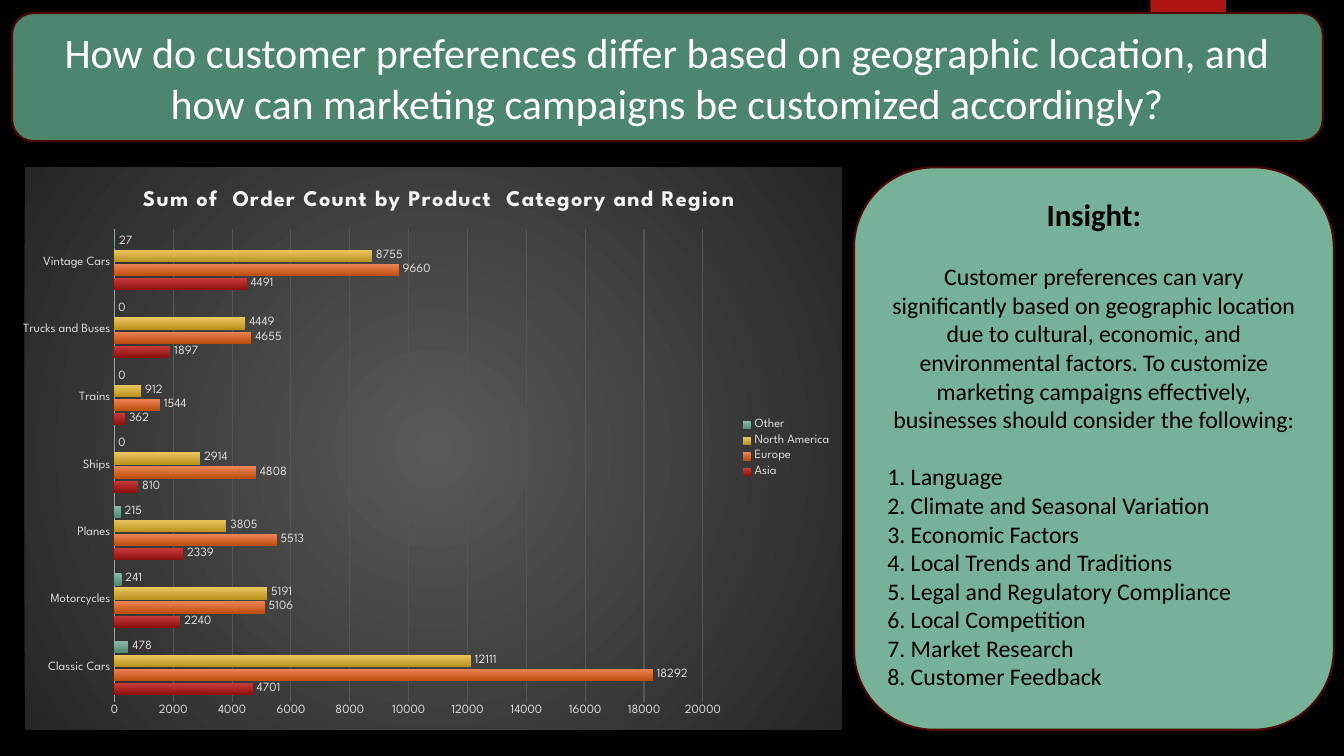
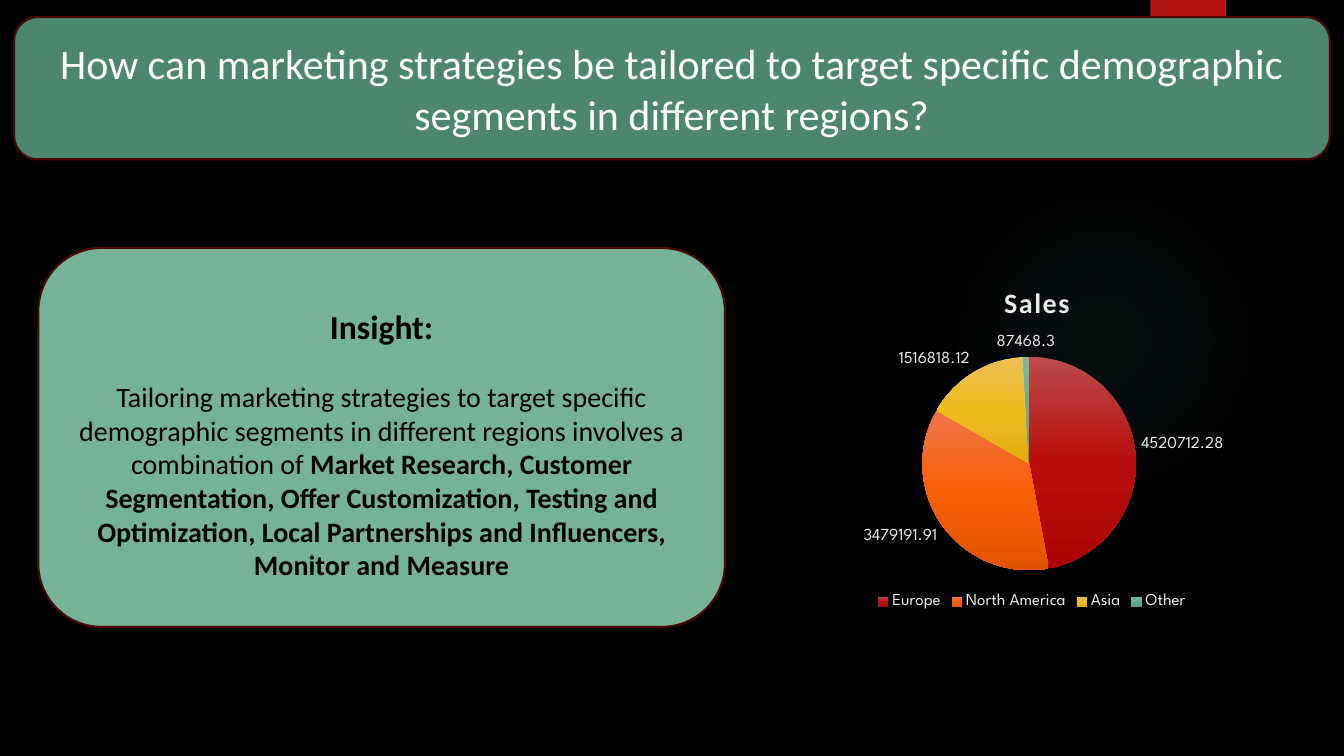
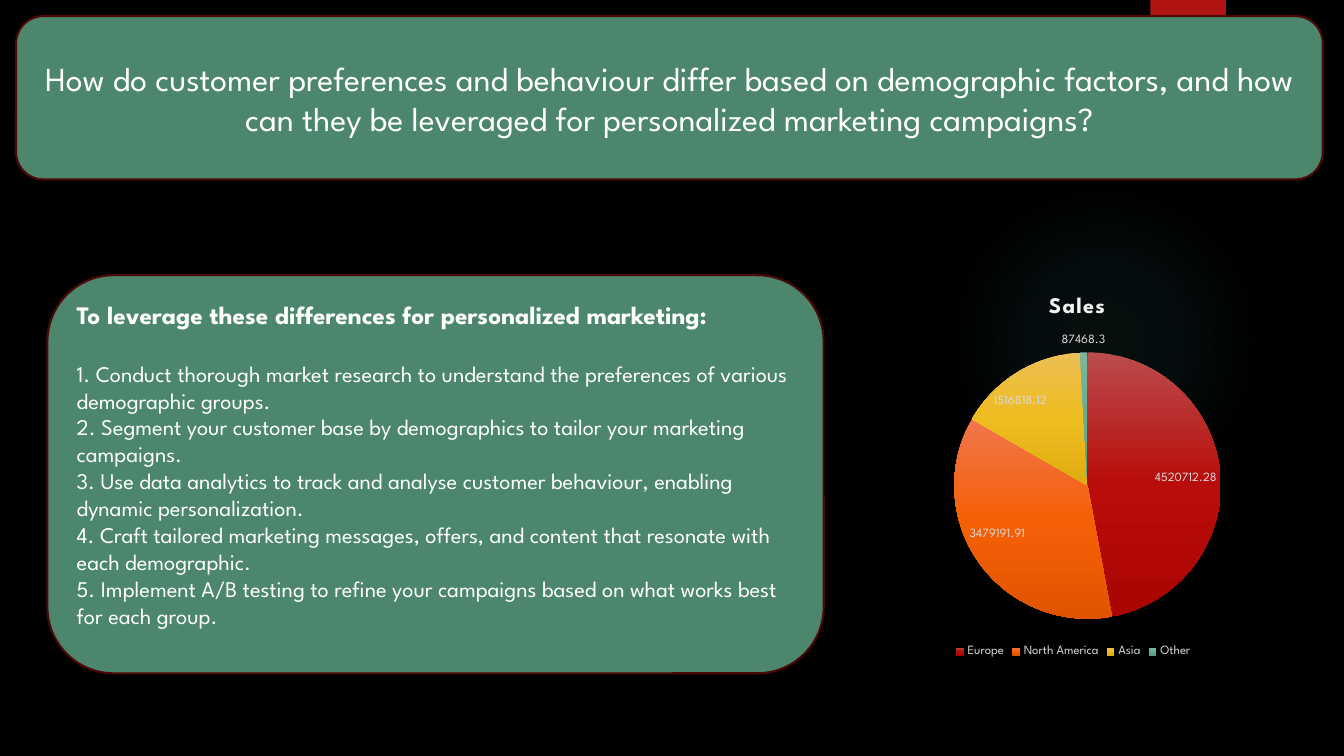
"""Build three dark slides on customer preferences, each with a chart and a text panel."""
from lxml.etree import SubElement
from pptx import Presentation
from pptx.chart.data import CategoryChartData
from pptx.dml.color import RGBColor
from pptx.enum.chart import XL_CHART_TYPE, XL_LABEL_POSITION, XL_LEGEND_POSITION, XL_TICK_MARK
from pptx.enum.shapes import MSO_SHAPE
from pptx.enum.text import MSO_ANCHOR, PP_ALIGN
from pptx.oxml import parse_xml
from pptx.oxml.ns import nsdecls, qn
from pptx.oxml.xmlchemy import OxmlElement
from pptx.util import Inches, Pt

HUES = {
    "black": "000000", "white": "FFFFFF", "pale": "F2F2F2", "soft": "EBEBEB",
    "gray": "D9D9D9", "axis": "A0A0A0", "grid": "555555", "red": "B01513",
    "edge": "4D0908", "green": "4B866D", "mint": "76B298", "glow": "50B9C1",
}
RGB = {name: RGBColor.from_string(code) for name, code in HUES.items()}
SANS, SPARTAN = "Calibri", "League Spartan"
LEFT, MID = PP_ALIGN.LEFT, PP_ALIGN.CENTER
OUT, BEST = XL_LABEL_POSITION.OUTSIDE_END, XL_LABEL_POSITION.BEST_FIT


def box(slide, kind, at, fill=None, edge=None):
    shape = slide.shapes.add_shape(kind, *map(Inches, at))
    shape.shadow.inherit = False
    if fill:
        shape.fill.solid()
        shape.fill.fore_color.rgb = RGB[fill]
    if edge:
        shape.line.color.rgb = RGB[edge]
        shape.line.width = Pt(1.5)
    else:
        shape.line.fill.background()
    return shape


def fade(stops, round=False):
    fill = OxmlElement("a:gradFill")
    items = SubElement(fill, qn("a:gsLst"))
    for place, code, alpha in stops:
        stop = SubElement(items, qn("a:gs"), pos=str(place * 1000))
        color = SubElement(stop, qn("a:srgbClr"), val=code)
        SubElement(color, qn("a:alpha"), val=str(alpha * 1000))
    if round:
        path = SubElement(fill, qn("a:path"), path="circle")
        SubElement(path, qn("a:fillToRect"), l="50000", t="50000", r="50000", b="50000")
    else:
        SubElement(fill, qn("a:lin"), ang="5400000", scaled="0")
    return fill


REGIONS = ["Europe", "North America", "Asia", "Other"]
SALES = [4520712.28, 3479191.91, 1516818.12, 87468.3]
SLICES = [
    ("BB4C4C", "B80D0B", "AA0503"), ("F1764C", "F56007", "E05400"),
    ("EBBF53", "EFBC20", "DFAC11"), ("7CB59C", "67AF91", "589F81"),
]
CARS = ["Classic Cars", "Motorcycles", "Planes", "Ships", "Trains", "Trucks and Buses", "Vintage Cars"]
ORDERS = [
    ("Asia", [4701, 2240, 2339, 810, 362, 1897, 4491], ("C93B3A", "8D110F")),
    ("Europe", [18292, 5106, 5513, 4808, 1544, 4655, 9660], ("EE8455", "BC4F0E")),
    ("North America", [12111, 5191, 3805, 2914, 912, 4449, 8755], ("EBC65F", "BB941F")),
    ("Other", [478, 241, 215, 0, 0, 0, 27], ("89BDA7", "538C74")),
]
FACTORS = [
    "Language", "Climate and Seasonal Variation", "Economic Factors",
    "Local Trends and Traditions", "Legal and Regulatory Compliance",
    "Local Competition", "Market Research", "Customer Feedback",
]
STEPS = [
    "Conduct thorough market research to understand the preferences of various demographic groups.",
    "Segment your customer base by demographics to tailor your marketing campaigns.",
    "Use data analytics to track and analyse customer behaviour, enabling dynamic personalization.",
    "Craft tailored marketing messages, offers, and content that resonate with each demographic.",
    "Implement A/B testing to refine your campaigns based on what works best for each group.",
]

PAGES = [
    {
        "title": "How do customer preferences differ based on geographic location, and how can marketing campaigns be customized accordingly?",
        "band": (0.12, 0.13, 13, 1.27), "size": 30, "font": SANS,
        "panel": (8.47, 1.66, 4.76, 5.58), "fill": "mint", "ink": "black", "top": 0.05,
        "text": [
            (0, 22, MID, [("Insight:", True)]),
            (21, 17, MID, [("Customer preferences can vary significantly based on geographic location due to cultural, economic, and environmental factors. To customize marketing campaigns effectively, businesses should consider the following:", False)]),
        ] + [(0 if i > 1 else 20.5, 17, LEFT, [(f"{i}. {item}", False)]) for i, item in enumerate(FACTORS, 1)],
        "chart": (0.23, 1.66, 8.12, 5.58), "bars": True, "cats": CARS, "rows": ORDERS,
        "head": ("Sum of  Order Count by Product  Category and Region", 16, SPARTAN, "pale"),
        "label": (9, "gray", OUT), "spot": (0.14, 0.03), "plot": (0.11, 0.11, 0.72, 0.84),
    },
    {
        "title": "How can marketing strategies be tailored to target specific demographic segments in different regions?",
        "band": (0.14, 0.17, 13.05, 1.41), "size": 30, "font": SANS,
        "panel": (0.38, 2.46, 6.81, 3.76), "fill": "mint", "ink": "black", "top": 0.39,
        "text": [
            (0, 24, MID, [("Insight:", True)]),
            (24, 20, MID, [
                ("Tailoring marketing strategies to target specific demographic segments in different regions involves a combination of ", False),
                ("Market Research, Customer Segmentation, Offer Customization, Testing and Optimization, Local Partnerships and Influencers, Monitor and Measure", True),
            ]),
        ],
        "chart": (7.52, 2.54, 5.43, 3.55), "bars": False, "cats": REGIONS,
        "rows": [("Series 1", SALES, None)], "head": ("Sales", 20, SANS, "soft"),
        "label": (12, "soft", OUT), "spot": (0.44, 0.06), "plot": (0.3, 0.28, 0.39, 0.6),
    },
    {
        "title": "How do customer preferences and behaviour differ based on demographic factors, and how can they be leveraged for personalized marketing campaigns?",
        "band": (0.16, 0.16, 12.96, 1.62), "size": 24, "font": SPARTAN,
        "panel": (0.47, 2.73, 7.7, 3.95), "fill": "green", "ink": "white", "top": 0.05,
        "text": [(0, 18, LEFT, [("To leverage these differences for personalized marketing:", True)])]
        + [(0 if i > 1 else 21.5, 16, LEFT, [(f"{i}. {item}", False)]) for i, item in enumerate(STEPS, 1)],
        "chart": (7.82, 2.73, 5.65, 3.83), "bars": False, "cats": REGIONS,
        "rows": [("Sales", SALES, None)], "head": ("Sales", 16, SPARTAN, "pale"),
        "label": (9, "gray", BEST), "spot": (0.45, 0.04), "plot": (0.29, 0.2, 0.47, 0.69),
    },
]

deck = Presentation()
deck.slide_width, deck.slide_height = Inches(13.33), Inches(7.5)

for page in PAGES:
    slide = deck.slides.add_slide(deck.slide_layouts[6])
    slide.background.fill.solid()
    slide.background.fill.fore_color.rgb = RGB["black"]
    if not page["bars"]:
        glow = box(slide, MSO_SHAPE.OVAL, (9.41, 1.83, 3.08, 3.08))
        halo = fade([(0, HUES["glow"], 7), (36, HUES["glow"], 6), (69, HUES["glow"], 0)], True)
        glow._element.spPr.find(qn("a:prstGeom")).addnext(halo)
    box(slide, MSO_SHAPE.RECTANGLE, (11.41, 0, 0.75, 1.25), "red")

    band = box(slide, MSO_SHAPE.ROUNDED_RECTANGLE, page["band"], "green", "edge")
    panel = box(slide, MSO_SHAPE.ROUNDED_RECTANGLE, page["panel"], page["fill"], "edge")
    panel.text_frame.margin_top = Inches(page["top"])
    title = [(0, page["size"], MID, [(page["title"], False)])]
    for shape, text, ink, anchor in (
        (band, title, "white", MSO_ANCHOR.MIDDLE),
        (panel, page["text"], page["ink"], MSO_ANCHOR.TOP),
    ):
        frame = shape.text_frame
        frame.word_wrap = True
        frame.vertical_anchor = anchor
        for i, (gap, size, align, runs) in enumerate(text):
            para = frame.add_paragraph() if i else frame.paragraphs[0]
            para.alignment = align
            para.space_before = Pt(gap)
            para.font.size = Pt(size)
            para.font.name = page["font"]
            para.font.color.rgb = RGB[ink]
            for words, bold in runs:
                run = para.add_run()
                run.text = words
                run.font.bold = bold

    data = CategoryChartData()
    data.categories = page["cats"]
    for name, vals, tones in page["rows"]:
        data.add_series(name, vals)
    kind = XL_CHART_TYPE.BAR_CLUSTERED if page["bars"] else XL_CHART_TYPE.PIE
    chart = slide.shapes.add_chart(kind, *map(Inches, page["chart"]), data).chart
    size, ink, place = page["label"]
    plot = chart.plots[0]
    plot.vary_by_categories = not page["bars"]
    plot.has_data_labels = True
    labels = plot.data_labels
    labels.show_value = True
    labels.position = place
    chart.has_legend = True
    chart.legend.position = XL_LEGEND_POSITION.RIGHT if page["bars"] else XL_LEGEND_POSITION.BOTTOM
    chart.legend.include_in_layout = False
    for font in (chart.font, labels.font, chart.legend.font):
        font.size = Pt(size)
        font.name = SPARTAN
        font.color.rgb = RGB[ink]

    words, size, face, ink = page["head"]
    chart.has_title = True
    head = chart.chart_title
    head.text_frame.text = words
    para = head.text_frame.paragraphs[0]
    para.font.size = Pt(size)
    para.font.name = face
    para.font.bold = True
    para.font.color.rgb = RGB[ink]
    para.runs[0].font._element.set("spc", "100")

    area = chart._chartSpace.chart.plotArea
    for part, rank, spots in ((head._element, 1, page["spot"]), (area, 0, page["plot"])):
        for old in part.xpath("c:layout"):
            part.remove(old)
        inner = '<c:layoutTarget val="inner"/>' if part is area else ""
        rule = "".join(f'<c:{key} val="{val}"/>' for key, val in zip("xywh", spots))
        part.insert(rank, parse_xml(
            f'<c:layout {nsdecls("c")}><c:manualLayout>{inner}<c:xMode val="edge"/>'
            f'<c:yMode val="edge"/>{rule}</c:manualLayout></c:layout>'))

    if not page["bars"]:
        ser = plot.series[0]._element
        for i, tones in enumerate(SLICES):
            stops = [(pos, tone, 100) for pos, tone in zip((0, 50, 100), tones)]
            ser.get_or_add_dPt_for_point(i).get_or_add_spPr().append(fade(stops))
        continue

    plot.gap_width, plot.overlap = 115, -20
    for ser, (name, vals, tones) in zip(plot.series, page["rows"]):
        stops = [(pos, tone, 100) for pos, tone in zip((0, 100), tones)]
        ser._element.get_or_add_spPr().append(fade(stops))
    back = OxmlElement("c:spPr")
    back.append(fade([(0, "595959", 100), (100, "262626", 100)], True))
    chart._chartSpace.xpath("c:txPr")[0].addprevious(back)
    for axis in (chart.category_axis, chart.value_axis):
        axis.major_tick_mark = axis.minor_tick_mark = XL_TICK_MARK.NONE
        axis.tick_labels.font.size = Pt(9)
        axis.tick_labels.font.name = SPARTAN
        axis.tick_labels.font.color.rgb = RGB["gray"]
    chart.category_axis.format.line.color.rgb = RGB["axis"]
    chart.category_axis.format.line.width = Pt(1)
    chart.value_axis.format.line.fill.background()
    chart.value_axis.maximum_scale = 20000
    chart.value_axis.major_unit = 2000
    grid = chart.value_axis.major_gridlines.format.line
    grid.color.rgb = RGB["grid"]
    grid.width = Pt(0.75)

deck.save("out.pptx")
